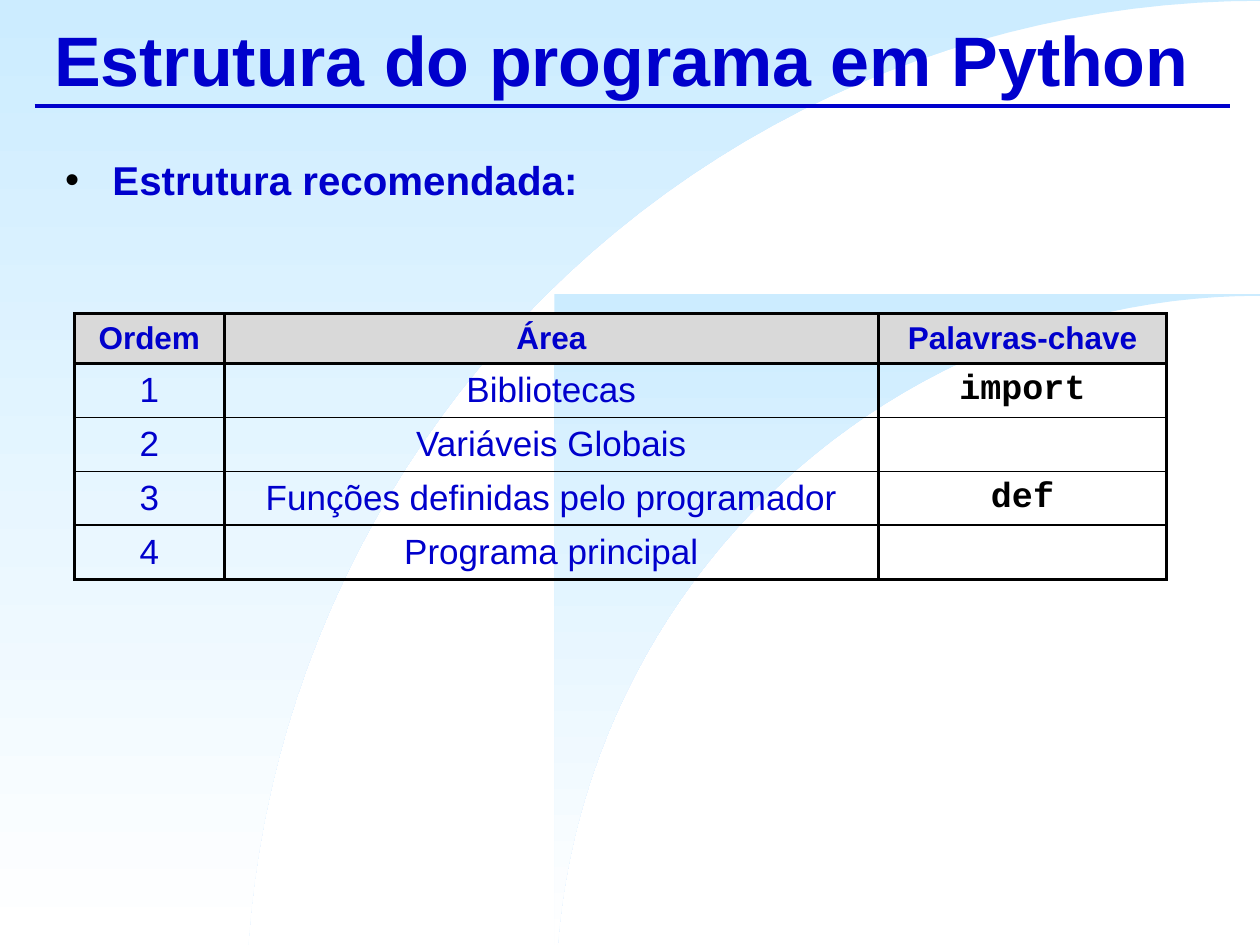
from math import asin, cos, pi, sin

from lxml.etree import SubElement
from pptx import Presentation
from pptx.dml.color import RGBColor
from pptx.enum.shapes import MSO_CONNECTOR as Connector
from pptx.enum.text import MSO_ANCHOR as Anchor, PP_ALIGN as Align
from pptx.oxml import parse_xml
from pptx.oxml.ns import nsdecls, qn
from pptx.util import Pt

PAGE_WIDTH, PAGE_HEIGHT = 720, 540
BLUE, BLACK, WHITE = "0000CC", "000000", "FFFFFF"
SKY, GREY = "CCECFF", "D9D9D9"
SANS, MONO = "Arial", "Courier New"

HEADERS = ["Ordem", "Área", "Palavras-chave"]
STEPS = [
    ["1", "Bibliotecas", "import"],
    ["2", "Variáveis Globais", ""],
    ["3", "Funções definidas pelo programador", "def"],
    ["4", "Programa principal", ""],
]
COLUMN_WIDTHS = [85.7, 373.7, 164.9]
HEADER_HEIGHT, STEP_HEIGHT = 28.5, 29.9


def color(hex_string):
    return RGBColor.from_string(hex_string)


def set_font(para, name, size, hex_color, bold):
    font = para.font
    font.name, font.size, font.bold = name, Pt(size), bold
    font.color.rgb = color(hex_color)


def add_curved_panel(page, box, center_y, radius):
    """Fill the box down to a circle centred on its right edge."""
    left, top, width, height = box
    right, bottom = left + width, top + height
    start = asin((center_y - bottom) / radius)
    steps = 48
    angles = [start + (pi / 2 - start) * i / steps for i in range(steps + 1)]
    points = [(right - radius * cos(a), center_y - radius * sin(a)) for a in angles]
    points += [(right, top), (left, top), (left, bottom)]
    vertices = [(Pt(x), Pt(y)) for x, y in points]

    builder = page.shapes.build_freeform(*vertices[0], scale=1.0)
    builder.add_line_segments(vertices[1:], close=True)
    panel = builder.convert_to_shape()
    panel.shadow.inherit = False
    panel.line.fill.background()
    panel.fill.gradient()
    panel.fill.gradient_angle = 270
    for stop, shade in zip(panel.fill.gradient_stops, (SKY, WHITE)):
        stop.color.rgb = color(shade)


def add_background(page):
    add_curved_panel(page, (0, 0, PAGE_WIDTH, PAGE_HEIGHT), 580, 579.5)
    add_curved_panel(page, (316.8, 168, 403.2, 372), 571.5, 402.5)


def add_text(page, box, text, size, anchor):
    frame = page.shapes.add_textbox(*map(Pt, box)).text_frame
    frame.word_wrap = True
    frame.vertical_anchor = anchor
    para = frame.paragraphs[0]
    para.text = text
    set_font(para, SANS, size, BLUE, True)
    return para


def add_title(page, box, text):
    """Place the heading with its rule, which reaches just past the box."""
    left, top, width, height = box
    rule_y = top + height - 3
    rule = page.shapes.add_connector(
        Connector.STRAIGHT, Pt(left - 4), Pt(rule_y), Pt(left + width + 1), Pt(rule_y)
    )
    rule.line.color.rgb = color(BLUE)
    rule.line.width = Pt(2.25)
    SubElement(rule.element.spPr, qn("a:effectLst"))
    add_text(page, box, text, 40, Anchor.MIDDLE)


def add_bullet(page, box, text):
    para = add_text(page, box, text, 23, Anchor.TOP)
    props = para._p.get_or_add_pPr()
    props.set("marL", str(Pt(27)))
    props.set("indent", str(Pt(-27)))
    spacing = SubElement(props, qn("a:spcBef"))
    SubElement(spacing, qn("a:spcPct")).set("val", "20000")
    bullet_color = SubElement(props, qn("a:buClr"))
    SubElement(bullet_color, qn("a:srgbClr")).set("val", BLACK)
    SubElement(props, qn("a:buFont")).set("typeface", SANS)
    SubElement(props, qn("a:buChar")).set("char", "•")
    # The default run properties close the paragraph properties.
    props.append(props.find(qn("a:defRPr")))


def set_borders(cell, top, bottom):
    props = cell._tc.get_or_add_tcPr()
    widths = {"lnL": 2, "lnR": 2, "lnT": top, "lnB": bottom}
    for position, (side, width) in enumerate(widths.items()):
        border = parse_xml(
            f'<a:{side} {nsdecls("a")} w="{Pt(width)}"><a:solidFill>'
            f'<a:srgbClr val="{BLACK}"/></a:solidFill></a:{side}>'
        )
        props.insert(position, border)


def fill_cell(cell, text, is_header, is_keyword):
    cell.vertical_anchor = Anchor.MIDDLE
    cell.margin_top = cell.margin_bottom = Pt(3.4)
    if is_header:
        cell.fill.solid()
        cell.fill.fore_color.rgb = color(GREY)
    else:
        cell.fill.background()
    para = cell.text_frame.paragraphs[0]
    para.text = text
    para.alignment = Align.CENTER
    if is_header:
        set_font(para, SANS, 18, BLUE, True)
    elif is_keyword:
        set_font(para, MONO, 20, BLACK, True)
    else:
        set_font(para, SANS, 20, BLUE, False)


def add_structure_table(page, box):
    rows = [HEADERS] + STEPS
    last = len(rows) - 1
    table = page.shapes.add_table(len(rows), len(HEADERS), *map(Pt, box)).table
    table.first_row = table.horz_banding = False
    for column, width in zip(table.columns, COLUMN_WIDTHS):
        column.width = Pt(width)
    for r, texts in enumerate(rows):
        table.rows[r].height = Pt(STEP_HEIGHT if r else HEADER_HEIGHT)
        for c, text in enumerate(texts):
            cell = table.cell(r, c)
            fill_cell(cell, text, r == 0, c == 2)
            set_borders(cell, 2 if r <= 1 else 1, 2 if r in (0, last) else 1)


def main():
    deck = Presentation()
    deck.slide_width, deck.slide_height = Pt(PAGE_WIDTH), Pt(PAGE_HEIGHT)
    page = deck.slides.add_slide(deck.slide_layouts[6])
    add_background(page)
    add_title(page, (23.8, 3.6, 678.2, 59.8), "Estrutura do programa em Python")
    add_bullet(page, (30.2, 85, 653, 37.4), "Estrutura recomendada:")
    table_height = HEADER_HEIGHT + STEP_HEIGHT * len(STEPS)
    add_structure_table(page, (42.5, 179.3, sum(COLUMN_WIDTHS), table_height))
    deck.save("out.pptx")


if __name__ == "__main__":
    main()
